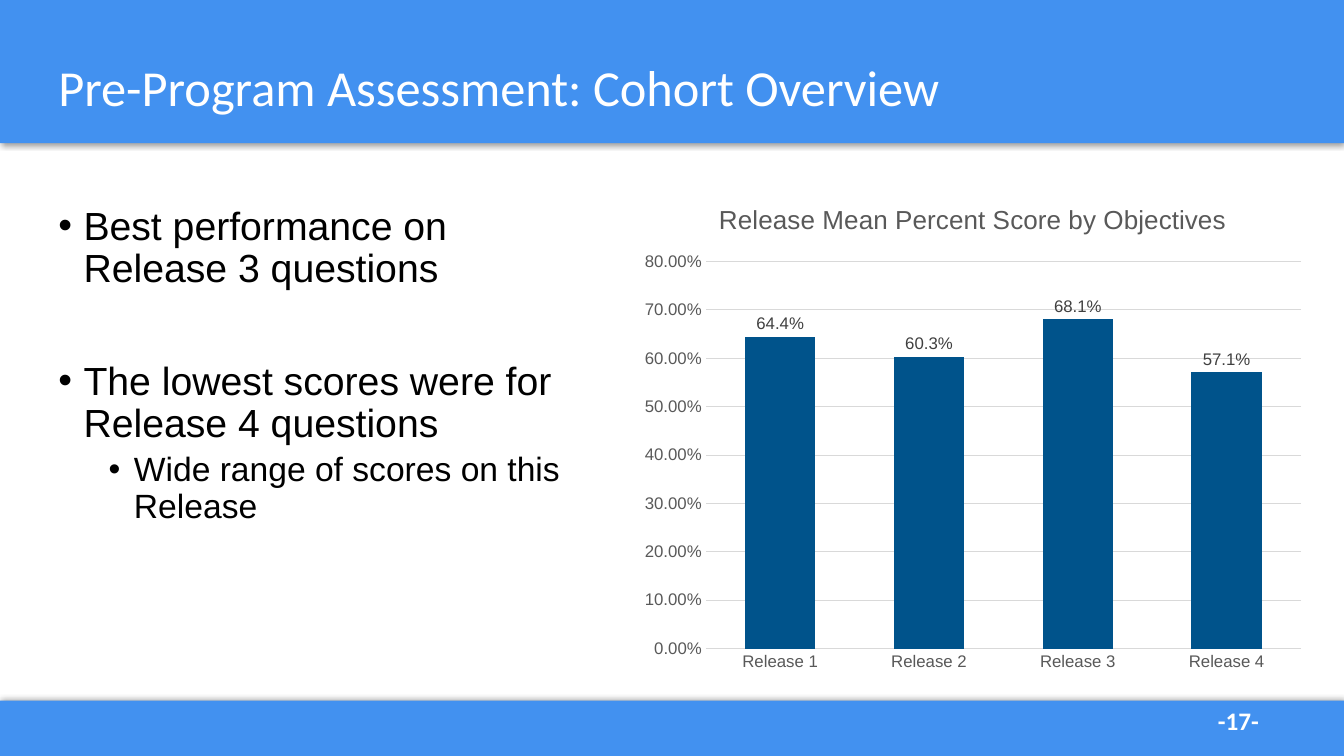
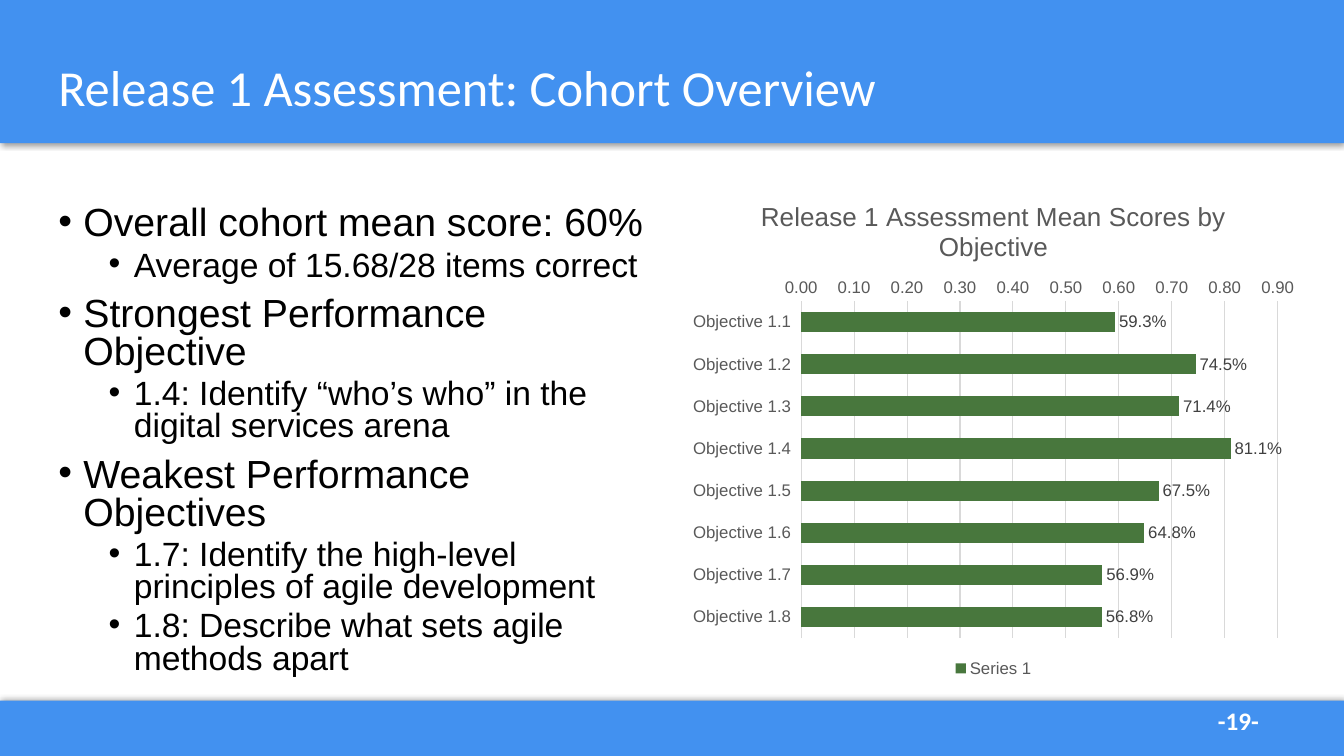
from dataclasses import dataclass

import pptx
import pptx.chart.data
import pptx.dml.color
import pptx.enum.chart
import pptx.enum.shapes
import pptx.enum.text
import pptx.oxml
import pptx.oxml.ns
import pptx.util

PX = 9144
WIDE, HIGH = 1333, 750


@dataclass(frozen=True)
class Theme:
    band: str = "4291F0"
    white: str = "FFFFFF"
    black: str = "000000"
    grid: str = "D9D9D9"
    gray: str = "595959"
    dark: str = "404040"
    blue: str = "00538B"
    green: str = "48773D"
    head: str = "Calibri"
    body: str = "Arial"
    title: int = 36
    page: int = 18
    levels: tuple = (28, 24)
    gaps: tuple = (10, 5)
    insets: tuple = (25, 75)
    chart: float = 18.6
    label: int = 12


T = Theme()
KIND = pptx.enum.chart.XL_CHART_TYPE


def px(*sizes):
    return [pptx.util.Emu(size * PX) for size in sizes]


def rgb(color):
    return pptx.dml.color.RGBColor.from_string(color)


def style(font, size, color, name=T.body, bold=False):
    font.size = pptx.util.Pt(size)
    font.color.rgb = rgb(color)
    font.name = name
    font.bold = bold


def write(para, text, *look):
    run = para.add_run()
    run.text = text
    style(run.font, *look)


def add_band(slide, top, height, angle):
    band = slide.shapes.add_shape(
        pptx.enum.shapes.MSO_SHAPE.RECTANGLE, *px(0, top, WIDE, height))
    band.fill.solid()
    band.fill.fore_color.rgb = rgb(T.band)
    band.line.fill.background()
    band.shadow.inherit = False
    glow = pptx.oxml.parse_xml(
        f'<a:outerShdw {pptx.oxml.ns.nsdecls("a")} blurRad="50800" '
        f'dist="12700" dir="{angle * 60000}" rotWithShape="0">'
        f'<a:srgbClr val="{T.black}"><a:alpha val="40000"/></a:srgbClr>'
        '</a:outerShdw>')
    band._element.spPr.find(pptx.oxml.ns.qn("a:effectLst")).append(glow)


def add_text(slide, area):
    frame = slide.shapes.add_textbox(*px(*area)).text_frame
    frame.word_wrap = True
    return frame


def add_frame(slide, title, page):
    add_band(slide, 695, 55, 270)
    add_band(slide, 0, 142, 90)
    foot = add_text(slide, (1198, 695, 98, 40))
    write(foot.paragraphs[0], f"-{page}-", T.page, T.white, T.head, True)
    head = add_text(slide, (48, 17, 1194, 145))
    head.vertical_anchor = pptx.enum.text.MSO_ANCHOR.MIDDLE
    head.paragraphs[0].line_spacing = 0.9
    write(head.paragraphs[0], title, T.title, T.white, T.head)


def set_bullet(para, level):
    props = para._p.get_or_add_pPr()
    props.set("marL", str(T.insets[level] * PX))
    props.set("indent", str(-25 * PX))
    for tag in (f'buFont {{}} typeface="{T.body}"', 'buChar {} char="•"'):
        tag = tag.format(pptx.oxml.ns.nsdecls("a"))
        props.append(pptx.oxml.parse_xml(f"<a:{tag}/>"))


def add_list(slide, area, points, pitch, extra=0):
    frame = add_text(slide, area)
    for rank, (level, text) in enumerate(points):
        para = frame.add_paragraph() if rank else frame.paragraphs[0]
        para.level = level
        para.line_spacing = pitch
        gap = T.gaps[level] + (extra if rank and level == 0 else 0)
        para.space_before = pptx.util.Pt(gap)
        set_bullet(para, level)
        write(para, text, T.levels[level], T.black)


def set_line(line, color):
    line.color.rgb = rgb(color)
    line.width = pptx.util.Pt(0.75)


def set_axes(chart, top, digits):
    cats, vals = chart.category_axis, chart.value_axis
    for axis in (cats, vals):
        axis.major_tick_mark = pptx.enum.chart.XL_TICK_MARK.NONE
        axis.minor_tick_mark = pptx.enum.chart.XL_TICK_MARK.NONE
        style(axis.tick_labels.font, T.label, T.gray)
    cats.has_major_gridlines = False
    set_line(cats.format.line, T.grid)
    vals.format.line.fill.background()
    vals.has_major_gridlines = True
    set_line(vals.major_gridlines.format.line, T.grid)
    vals.minimum_scale, vals.maximum_scale, vals.major_unit = 0, top, 0.1
    vals.tick_labels.number_format = digits
    vals.tick_labels.number_format_is_linked = False


def add_bars(slide, area, kind, title, names, scores, color, top, digits,
             gap, lap=0):
    data = pptx.chart.data.CategoryChartData()
    data.categories = names
    data.add_series("Series 1", scores)
    chart = slide.shapes.add_chart(kind, *px(*area), data).chart
    style(chart.font, 10, T.black)
    chart.has_title = True
    write(chart.chart_title.text_frame.paragraphs[0], title, T.chart, T.gray)
    chart.chart_title.include_in_layout = False
    chart.has_legend = False
    set_axes(chart, top, digits)
    plot = chart.plots[0]
    plot.vary_by_categories = False
    plot.gap_width, plot.overlap = gap, lap
    fill = plot.series[0].format.fill
    fill.solid()
    fill.fore_color.rgb = rgb(color)
    plot.series[0].invert_if_negative = False
    plot.has_data_labels = True
    labels = plot.data_labels
    labels.show_value = True
    labels.number_format = "0.0%"
    labels.number_format_is_linked = False
    labels.position = pptx.enum.chart.XL_LABEL_POSITION.OUTSIDE_END
    style(labels.font, T.label, T.dark)
    return chart


def flip_rows(chart):
    cats = chart.category_axis
    cats.reverse_order = True
    cats.crosses = pptx.enum.chart.XL_AXIS_CROSSES.MAXIMUM
    cats.tick_label_position = pptx.enum.chart.XL_TICK_LABEL_POSITION.LOW


def add_key(chart):
    chart.has_legend = True
    chart.legend.position = pptx.enum.chart.XL_LEGEND_POSITION.BOTTOM
    chart.legend.include_in_layout = False
    style(chart.legend.font, T.label, T.gray)


def add_cohort(slide):
    add_frame(slide, "Pre-Program Assessment: Cohort Overview", 17)
    add_list(slide, (48, 200, 552, 476), [
        (0, "Best performance on Release 3 questions"),
        (0, "The lowest scores were for Release 4 questions"),
        (1, "Wide range of scores on this Release"),
    ], 0.9, 40)
    add_bars(slide, (626, 181, 678, 494), KIND.COLUMN_CLUSTERED,
             "Release Mean Percent Score by Objectives",
             [f"Release {n}" for n in range(1, 5)],
             (0.644, 0.603, 0.681, 0.571), T.blue, 0.8, "0.00%", 111, -27)


def add_release(slide):
    add_frame(slide, "Release 1 Assessment: Cohort Overview", 19)
    add_list(slide, (48, 200, 610, 505), [
        (0, "Overall cohort mean score: 60%"),
        (1, "Average of 15.68/28 items correct"),
        (0, "Strongest Performance Objective"),
        (1, "1.4: Identify “who’s who” in the digital services arena"),
        (0, "Weakest Performance Objectives"),
        (1, "1.7: Identify the high-level principles of agile development"),
        (1, "1.8: Describe what sets agile methods apart"),
    ], 0.8)
    chart = add_bars(
        slide, (675, 178, 621, 498), KIND.BAR_CLUSTERED,
        "Release 1 Assessment Mean Scores by Objective",
        [f"Objective 1.{n}" for n in range(1, 9)],
        (0.593, 0.745, 0.714, 0.811, 0.675, 0.648, 0.569, 0.568),
        T.green, 0.9, "0.00", 110)
    flip_rows(chart)
    add_key(chart)


def main():
    deck = pptx.Presentation()
    deck.slide_width, deck.slide_height = px(WIDE, HIGH)
    for build in (add_cohort, add_release):
        build(deck.slides.add_slide(deck.slide_layouts[6]))
    deck.save("out.pptx")


if __name__ == "__main__":
    main()
